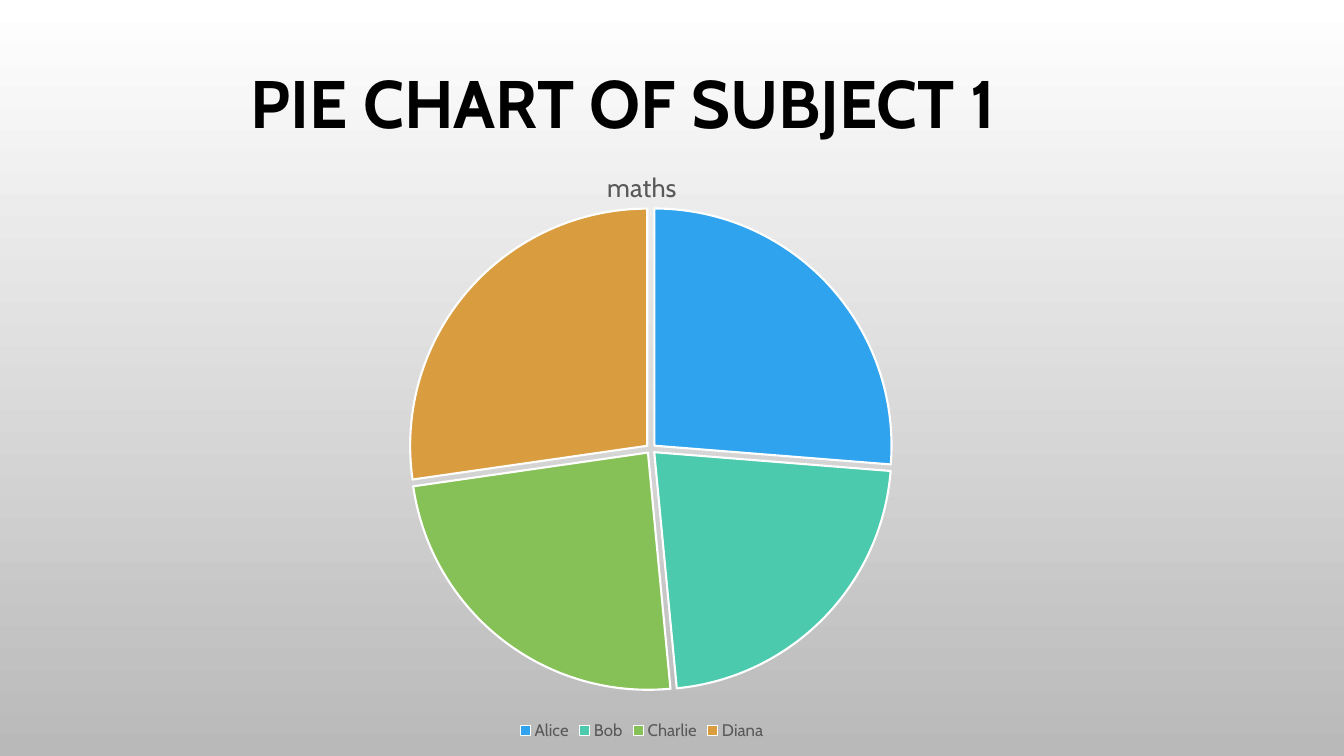
import pptx
import pptx.chart.data
import pptx.dml.color
import pptx.enum.chart
import pptx.enum.text
import pptx.oxml
import pptx.oxml.ns
import pptx.util

EMU_PER_PX = 914400 / 100.8
FONT = "Cabin"
COLORS = {
    "background_top": "FFFFFF",
    "background_bottom": "B9B9B9",
    "title": "000000",
    "chart_text": "595959",
    "slice_line": "FFFFFF",
    "Alice": "2FA3EE",
    "Bob": "4BCAAD",
    "Charlie": "86C157",
    "Diana": "D99C3F",
}
MARKS = {"Alice": 26, "Bob": 22, "Charlie": 24, "Diana": 27}
PIE_AREA = {"x": 0.24, "y": 0.1, "w": 0.54, "h": 0.81}


def px(length):
    return pptx.util.Emu(round(length * EMU_PER_PX))


def rgb(name):
    return pptx.dml.color.RGBColor.from_string(COLORS[name])


def set_font(font, size, color, bold=False):
    font.name = FONT
    font.size = pptx.util.Pt(size)
    font.bold = bold
    font.color.rgb = rgb(color)


def paint_background(slide):
    fill = slide.background.fill
    fill.gradient()
    fill.gradient_angle = 270
    for stop, name in zip(fill.gradient_stops, ("background_top", "background_bottom")):
        stop.color.rgb = rgb(name)


def place_title(slide, left, top, width, height):
    title = slide.shapes.title
    title.left, title.top = px(left), px(top)
    title.width, title.height = px(width), px(height)
    frame = title.text_frame
    frame.text = "PIE CHART OF SUBJECT 1"
    frame.word_wrap = True
    frame.auto_size = pptx.enum.text.MSO_AUTO_SIZE.NONE
    frame.vertical_anchor = pptx.enum.text.MSO_ANCHOR.BOTTOM
    heading = frame.paragraphs[0]
    heading.alignment = pptx.enum.text.PP_ALIGN.CENTER
    heading.line_spacing = 0.9
    set_font(heading.font, 48, "title", bold=True)


def fix_pie_area(chart):
    """Give the pie a manual inner layout, in fractions of the chart."""
    plot_area = chart.plots[0]._element.getparent()
    for layout in plot_area.findall(pptx.oxml.ns.qn("c:layout")):
        plot_area.remove(layout)
    modes = '<c:xMode val="edge"/><c:yMode val="edge"/>'
    sizes = "".join(f'<c:{key} val="{value}"/>' for key, value in PIE_AREA.items())
    plot_area.insert(0, pptx.oxml.parse_xml(
        f'<c:layout {pptx.oxml.ns.nsdecls("c")}><c:manualLayout>'
        f'<c:layoutTarget val="inner"/>{modes}{sizes}'
        "</c:manualLayout></c:layout>"))


def color_slices(series):
    for index, student in enumerate(MARKS):
        look = series.points[index].format
        look.fill.solid()
        look.fill.fore_color.rgb = rgb(student)
        look.line.color.rgb = rgb("slice_line")
        look.line.width = pptx.util.Pt(1.5)
    first_slice = series._element.find(pptx.oxml.ns.qn("c:dPt"))
    first_slice.addprevious(pptx.oxml.parse_xml(
        f'<c:explosion {pptx.oxml.ns.nsdecls("c")} val="2"/>'))


def place_marks_chart(slide, left, top, width, height):
    marks = pptx.chart.data.CategoryChartData()
    marks.categories = list(MARKS)
    marks.add_series("maths", list(MARKS.values()))
    chart = slide.shapes.add_chart(
        pptx.enum.chart.XL_CHART_TYPE.PIE,
        px(left), px(top), px(width), px(height), marks).chart
    set_font(chart.font, 10, "title")

    chart.has_title = True
    chart.chart_title.include_in_layout = False
    caption = chart.chart_title.text_frame
    caption.text = "maths"
    set_font(caption.paragraphs[0].font, 18.6, "chart_text")

    chart.has_legend = True
    chart.legend.position = pptx.enum.chart.XL_LEGEND_POSITION.BOTTOM
    chart.legend.include_in_layout = False
    set_font(chart.legend.font, 12, "chart_text")

    chart.plots[0].vary_by_categories = True
    color_slices(chart.plots[0].series[0])
    fix_pie_area(chart)


def main():
    deck = pptx.Presentation()
    deck.slide_width, deck.slide_height = px(1344), px(756)
    slide = deck.slides.add_slide(deck.slide_layouts.get_by_name("Title Only"))
    paint_background(slide)
    place_title(slide, 119, 22, 1008, 126)
    place_marks_chart(slide, 194, 147, 896, 598)
    deck.save("out.pptx")


if __name__ == "__main__":
    main()
